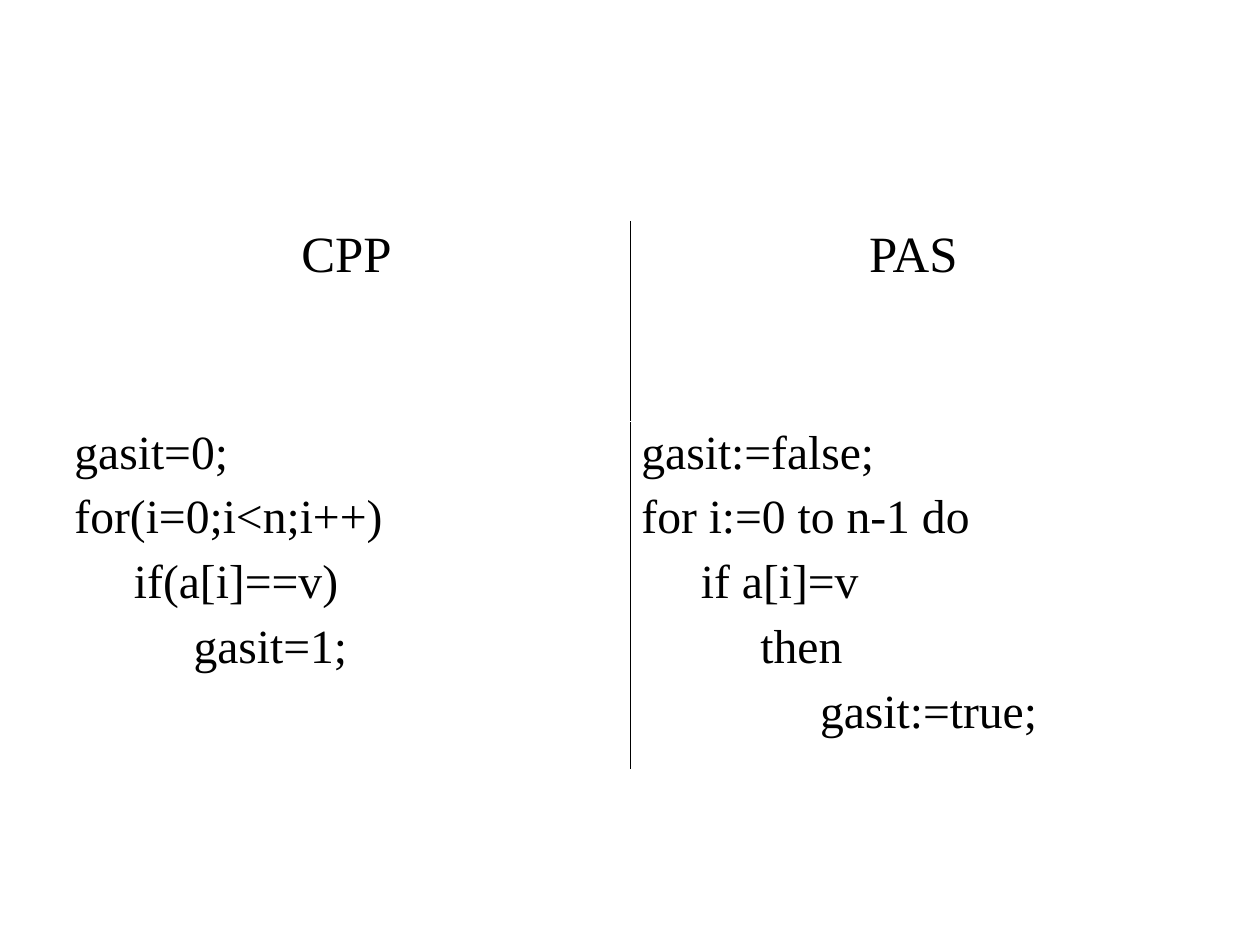
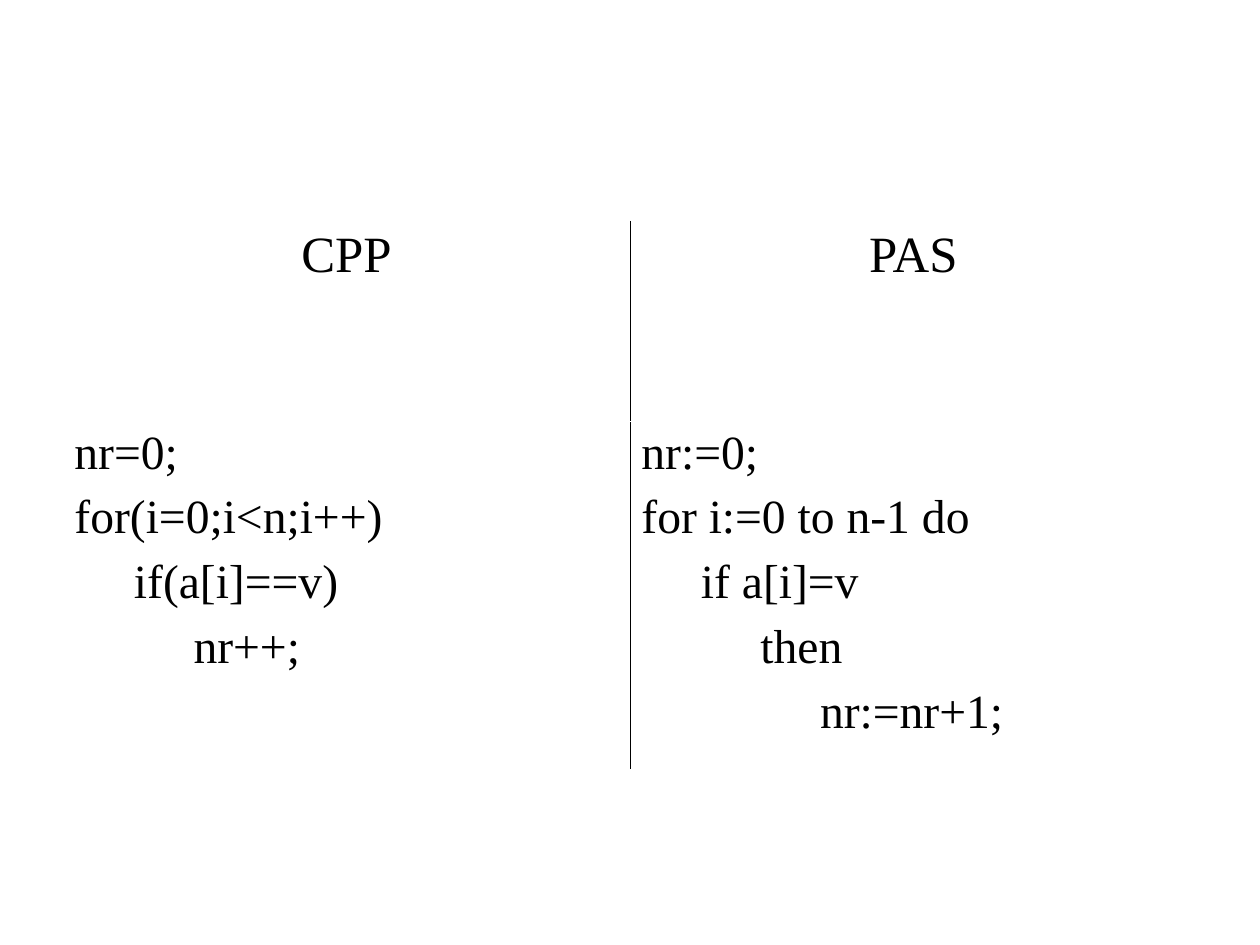
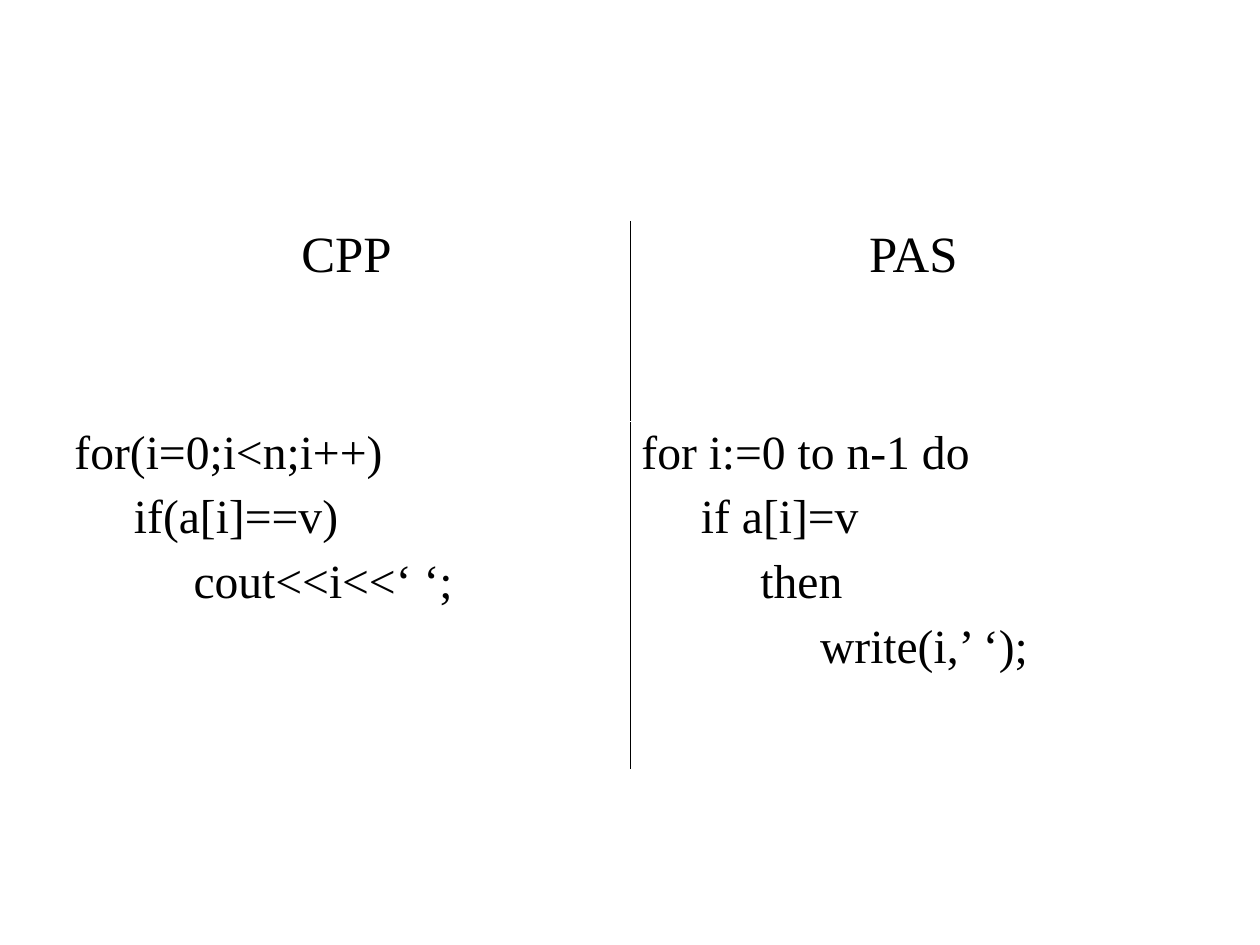
from dataclasses import dataclass

from lxml.etree import SubElement as Sub
from pptx import Presentation
from pptx.dml.color import RGBColor as Rgb
from pptx.enum.text import PP_ALIGN as Align
from pptx.oxml.ns import qn
from pptx.util import Pt


@dataclass(frozen=True)
class Theme:
    font: str = "Times New Roman"
    ink: str = "000000"
    paper: str = "FFFFFF"
    head: int = 32
    code: int = 30
    gap: float = 0.25  # space before a line, as a part of its size
    step: float = 1.25  # indent of one code level, as a part of its size
    rule: float = 0.06


LOOK = Theme()
PX = 8000
WIDE, HIGH = 1260, 945
LEFT, TOP = 63, 221
COL = 567
ROWS = 200, 348
HEADS = "CPP", "PAS"

# Each line of code stands one level deeper than its (level, text) pair says.
LOOP_C = [(0, "for(i=0;i<n;i++)"), (1, "if(a[i]==v)")]
LOOP_P = [(0, "for i:=0 to n-1 do"), (1, "if a[i]=v"), (2, "then")]
PAIRS = [
    ([(0, "gasit=0;"), *LOOP_C, (2, "gasit=1;")],
     [(0, "gasit:=false;"), *LOOP_P, (3, "gasit:=true;")]),
    ([(0, "nr=0;"), *LOOP_C, (2, "nr++;")],
     [(0, "nr:=0;"), *LOOP_P, (3, "nr:=nr+1;")]),
    ([*LOOP_C, (2, "cout<<i<<‘ ‘;")],
     [*LOOP_P, (3, "write(i,’ ‘);")]),
]


def frame(cell, inner):
    """Rule the cell's four sides, in ink only on the inner one."""
    props = cell._tc.get_or_add_tcPr()
    for side in "LRTB":
        line = Sub(props, qn(f"a:ln{side}"), w=str(Pt(LOOK.rule)))
        fill = Sub(line, qn("a:solidFill"))
        Sub(fill, qn("a:srgbClr"), val=LOOK.ink if side == inner else LOOK.paper)
    cell.fill.solid()
    cell.fill.fore_color.rgb = Rgb.from_string(LOOK.paper)


def write(cell, lines, size, align):
    box = cell.text_frame
    for i, (level, text) in enumerate(lines):
        par = box.add_paragraph() if i else box.paragraphs[0]
        par.alignment = align
        par.space_before = Pt(size * LOOK.gap)
        indent = Pt(size * LOOK.step * level)
        par._p.get_or_add_pPr().set("marL", str(indent))
        run = par.add_run()
        run.text = text
        run.font.name = LOOK.font
        run.font.size = Pt(size)
        run.font.bold = False
        run.font.color.rgb = Rgb.from_string(LOOK.ink)


deck = Presentation()
deck.slide_width, deck.slide_height = WIDE * PX, HIGH * PX

for pair in PAIRS:
    slide = deck.slides.add_slide(deck.slide_layouts[6])
    grid = slide.shapes.add_table(
        len(ROWS), len(HEADS), LEFT * PX, TOP * PX,
        COL * len(HEADS) * PX, sum(ROWS) * PX).table
    grid.first_row = grid.horz_banding = False
    for row, high in zip(grid.rows, ROWS):
        row.height = high * PX
    for col, (head, code, inner) in enumerate(zip(HEADS, pair, "RL")):
        write(grid.cell(0, col), [(0, head)], LOOK.head, Align.CENTER)
        write(grid.cell(1, col), code, LOOK.code, Align.LEFT)
        for row in range(len(ROWS)):
            frame(grid.cell(row, col), inner)

deck.save("out.pptx")
